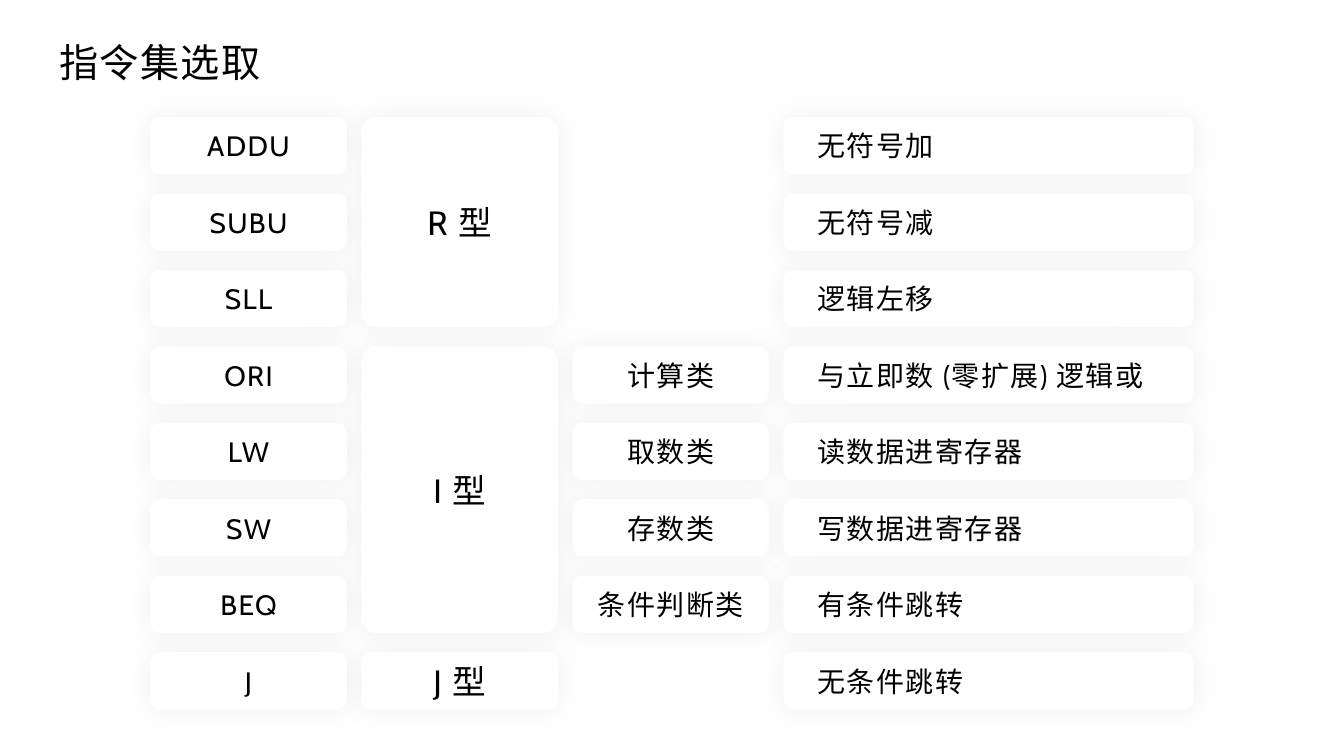
from dataclasses import dataclass

from lxml.etree import SubElement
from pptx import Presentation
from pptx.dml.color import RGBColor
from pptx.enum.lang import MSO_LANGUAGE_ID as Language
from pptx.enum.shapes import MSO_SHAPE as Shape
from pptx.enum.text import MSO_ANCHOR as Anchor, MSO_AUTO_SIZE as AutoSize, PP_ALIGN as Align
from pptx.oxml.ns import qn
from pptx.util import Inches, Pt


@dataclass(frozen=True)
class Theme:
    """Colours, font and type sizes of the slide."""
    font: str = "Cabin"
    ink: str = "000000"
    card: str = "FFFFFF"
    title: int = 28
    kind: int = 24
    body: int = 20
    tracking: int = 100
    shadow_alpha: int = 5000


@dataclass(frozen=True)
class Box:
    """A rectangle in inches."""
    left: float
    top: float
    width: float
    height: float

    def emu(self):
        """Return the four lengths for a shape call."""
        return [Inches(length) for length in (self.left, self.top, self.width, self.height)]


THEME = Theme()
ROW_COUNT = 8
CARD_WIDTH, CARD_HEIGHT, MEANING_WIDTH = 1.95, 0.57, 4.07
MNEMONIC, KIND, GROUP, MEANING = range(4)

INSTRUCTIONS = [
    ("ADDU", "", "无符号加"),
    ("SUBU", "", "无符号减"),
    ("SLL", "", "逻辑左移"),
    ("ORI", "计算类", "与立即数 (零扩展) 逻辑或"),
    ("LW", "取数类", "读数据进寄存器"),
    ("SW", "存数类", "写数据进寄存器"),
    ("BEQ", "条件判断类", "有条件跳转"),
    ("J", "", "无条件跳转"),
]
KINDS = [("R 型", 0, 3), ("I 型", 3, 4), ("J 型", 7, 1)]


def write(shape, text, *, size, align=Align.LEFT, anchor=Anchor.TOP, inset=0.1):
    """Put one formatted line of text in a shape."""
    frame = shape.text_frame
    frame.word_wrap = True
    frame.vertical_anchor = anchor
    frame.margin_left = Inches(inset)
    para = frame.paragraphs[0]
    para.alignment = align
    span = para.add_run()
    span.text = text
    font = span.font
    font.name = THEME.font
    font.size = Pt(size)
    font.color.rgb = RGBColor.from_string(THEME.ink)
    font.language_id = Language.SIMPLIFIED_CHINESE
    span._r.get_or_add_rPr().set("spc", str(THEME.tracking))


def add_glow(shape):
    """Give a shape a soft, faint shadow on all sides."""
    shape.shadow.inherit = False
    effects = shape._element.spPr.find(qn("a:effectLst"))
    shadow = SubElement(effects, qn("a:outerShdw"), blurRad=str(Pt(20)), dist="0",
                        dir="2700000", algn="ctr", rotWithShape="0")
    colour = SubElement(shadow, qn("a:srgbClr"), val=THEME.ink)
    SubElement(colour, qn("a:alpha"), val=str(THEME.shadow_alpha))


def add_card(page, box, text, *, size=THEME.body, align=Align.CENTER, inset=0.1):
    """Add a white rounded card with its text."""
    card = page.shapes.add_shape(Shape.ROUNDED_RECTANGLE, *box.emu())
    radius = 0.1 if box.height == CARD_HEIGHT else 0.15
    card.adjustments[0] = radius / min(box.width, box.height)
    card.fill.solid()
    card.fill.fore_color.rgb = RGBColor.from_string(THEME.card)
    card.line.fill.background()
    add_glow(card)
    write(card, text, size=size, align=align, anchor=Anchor.MIDDLE, inset=inset)


def add_title(page, box, text):
    """Add the slide title."""
    title = page.shapes.add_textbox(*box.emu())
    write(title, text, size=THEME.title)
    title.text_frame.auto_size = AutoSize.SHAPE_TO_FIT_TEXT


def add_instruction_grid(page, box):
    """Fill the box with the instruction cards."""
    column_step = (box.width - MEANING_WIDTH) / MEANING
    row_step = (box.height - CARD_HEIGHT) / (ROW_COUNT - 1)

    def cell(column, row, rows=1):
        """Return the box of a card that covers the given rows."""
        width = MEANING_WIDTH if column == MEANING else CARD_WIDTH
        return Box(box.left + column * column_step, box.top + row * row_step,
                   width, CARD_HEIGHT + (rows - 1) * row_step)

    for text, row, rows in KINDS:
        add_card(page, cell(KIND, row, rows), text, size=THEME.kind)
    for row, (mnemonic, group, meaning) in enumerate(INSTRUCTIONS):
        add_card(page, cell(MNEMONIC, row), mnemonic)
        if group:
            add_card(page, cell(GROUP, row), group)
        add_card(page, cell(MEANING, row), meaning, align=Align.LEFT, inset=0.31)


def main():
    """Build and save the deck."""
    deck = Presentation()
    deck.slide_width, deck.slide_height = Inches(13.33), Inches(7.5)
    page = deck.slides.add_slide(deck.slide_layouts[6])
    add_title(page, Box(0.49, 0.33, 2.37, 0.57), "指令集选取")
    add_instruction_grid(page, Box(1.49, 1.16, 10.35, 5.88))
    deck.save("out.pptx")


if __name__ == "__main__":
    main()
